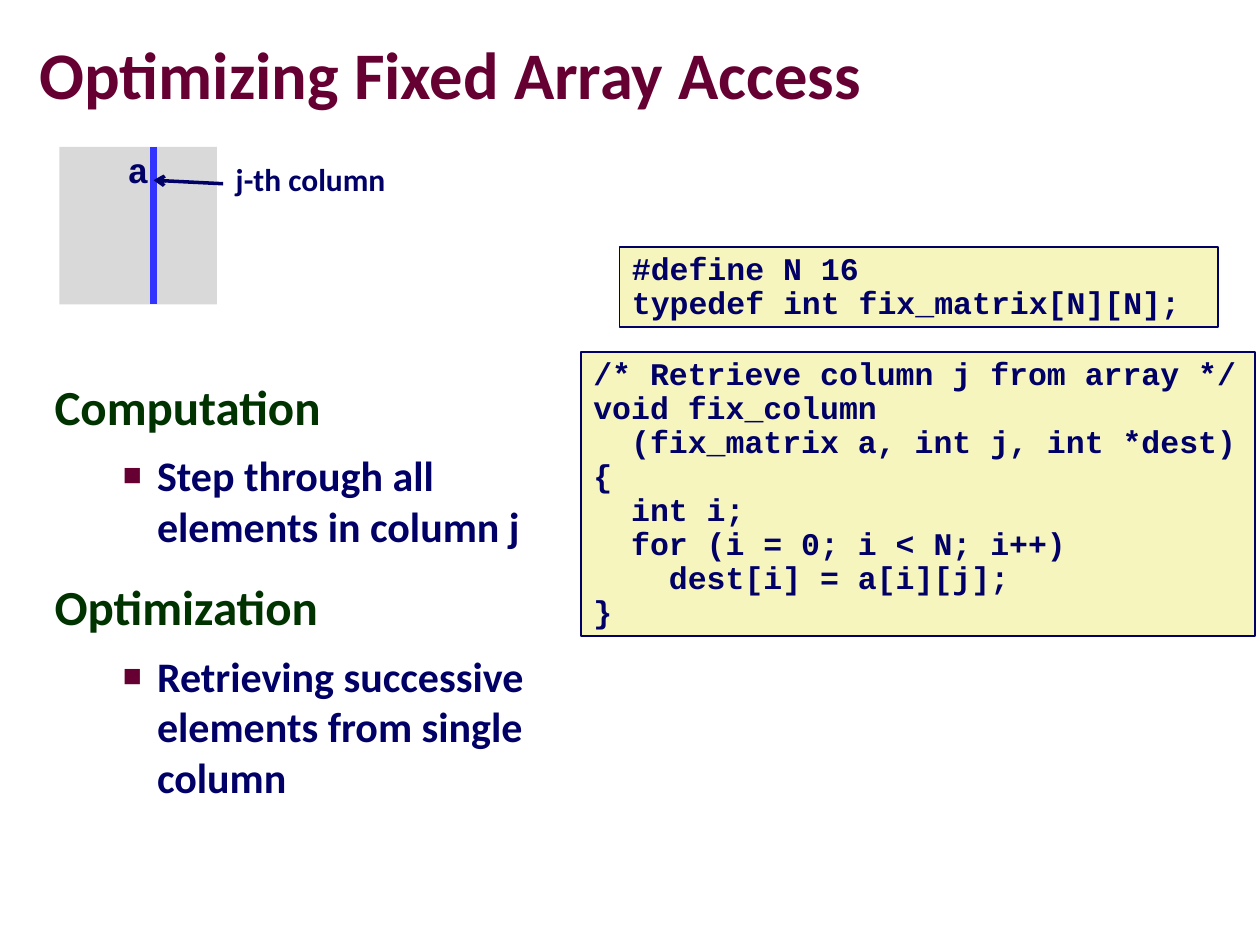
"""Build the slide on fixed array access with python-pptx."""
from lxml import etree
from pptx import Presentation
from pptx.dml.color import RGBColor
from pptx.enum import shapes, text
from pptx.oxml import ns
from pptx.util import Pt

NAVY, WINE, GREEN = "000066", "660033", "003300"
CREAM, GREY, BLUE = "F6F5BD", "D9D9D9", "3333FF"
SANS, MONO = "Calibri", "Courier New"
LEFT, MID = text.PP_ALIGN.LEFT, text.PP_ALIGN.CENTER
TOP, HALF = text.MSO_ANCHOR.TOP, text.MSO_ANCHOR.MIDDLE


def tint(code):
    return RGBColor.from_string(code)


def node(root, tag, **attrs):
    return etree.SubElement(root, ns.qn(tag), attrs)


class Deck:
    """Holds the style and the current slide."""

    def __init__(self, wide, high):
        self.prs = Presentation()
        self.prs.slide_width, self.prs.slide_height = Pt(wide), Pt(high)
        self.slide = self.prs.slides.add_slide(self.prs.slide_layouts[1])

    def place(self, shape, box):
        shape.left, shape.top, shape.width, shape.height = map(Pt, box)

    def frame(self, shape, pad=(7.2, 3.6), anchor=TOP, wrap=True):
        frame = shape.text_frame
        frame.margin_left = frame.margin_right = Pt(pad[0])
        frame.margin_top = frame.margin_bottom = Pt(pad[1])
        frame.auto_size = text.MSO_AUTO_SIZE.NONE
        frame.vertical_anchor, frame.word_wrap = anchor, wrap
        return frame

    def style(self, para, size, color, face=SANS, align=LEFT, space=0.9, before=0):
        para.alignment, para.line_spacing = align, space
        para.space_before = Pt(before)
        for run in para.runs:
            font = run.font
            font.size, font.name, font.bold = Pt(size), face, True
            font.color.rgb = tint(color)

    def title(self, words, box):
        shape = self.slide.shapes.title
        self.place(shape, box)
        frame = self.frame(shape, (0, 0), HALF)
        frame.text = words
        para = frame.paragraphs[0]
        self.style(para, 38, WINE, space=0.87)
        props = para.runs[0].font._element
        glow = etree.Element(ns.qn("a:effectLst"))
        cast = node(glow, "a:outerShdw", dist="38100", dir="2700000", algn="tl")
        node(cast, "a:srgbClr", val="969696")
        props.find(ns.qn("a:solidFill")).addnext(glow)

    def indent(self, para, left, hang, mark=None):
        props = para._p.get_or_add_pPr()
        props.set("marL", str(Pt(left)))
        props.set("indent", str(Pt(-hang)))
        if mark is None:
            node(props, "a:buNone")
            return
        node(node(props, "a:buClr"), "a:srgbClr", val=WINE)
        node(props, "a:buSzPct", val="75000")
        node(props, "a:buChar", char=mark)

    def body(self, items, box):
        shape = self.slide.placeholders[1]
        self.place(shape, box)
        frame = self.frame(shape)
        frame.text = "\n".join(words for _, words in items)
        for spot, (para, (level, _)) in enumerate(zip(frame.paragraphs, items)):
            para.level = level
            if level:
                self.indent(para, 58.5, 19.5, "■")
                self.style(para, 24, NAVY, space=1.0, before=7.5)
            else:
                self.indent(para, 30, 30)
                self.style(para, 28, GREEN, space=0.95, before=17.5 if spot else 0)

    def panel(self, words, box, fill, edge=None, size=18, align=LEFT):
        shape = self.slide.shapes.add_shape(shapes.MSO_SHAPE.RECTANGLE, *map(Pt, box))
        shape.shadow.inherit = False
        shape.fill.solid()
        shape.fill.fore_color.rgb = tint(fill)
        if edge:
            shape.line.color.rgb, shape.line.width = tint(edge), Pt(1)
        else:
            shape.line.fill.background()
        frame = self.frame(shape)
        frame.text = words
        for para in frame.paragraphs:
            self.style(para, size, NAVY, MONO, align)

    def label(self, words, box):
        shape = self.slide.shapes.add_textbox(*map(Pt, box))
        frame = self.frame(shape, wrap=False)
        frame.text = words
        self.style(frame.paragraphs[0], 18, NAVY, align=MID)

    def line(self, ends, color, width, arrow=False):
        kind = shapes.MSO_CONNECTOR.STRAIGHT
        wire = self.slide.shapes.add_connector(kind, *map(Pt, ends))
        wire.line.color.rgb, wire.line.width = tint(color), Pt(width)
        if arrow:
            node(wire.line._get_or_add_ln(), "a:tailEnd", type="arrow")
        node(wire._element.spPr, "a:effectLst")


def main():
    deck = Deck(720, 540)
    deck.title("Optimizing Fixed Array Access", (22.5, 22.5, 500, 45))
    deck.body([
        (0, "Computation"),
        (1, "Step through all elements in column j"),
        (0, "Optimization"),
        (1, "Retrieving successive elements from single column"),
    ], (24, 214, 308, 308))
    deck.panel("#define N 16\ntypedef int fix_matrix[N][N];",
               (354, 141, 342, 46), CREAM, NAVY)
    deck.panel("""/* Retrieve column j from array */
void fix_column
  (fix_matrix a, int j, int *dest)
{
  int i;
  for (i = 0; i < N; i++)
    dest[i] = a[i][j];
}""", (332, 201, 385, 162.5), CREAM, NAVY)
    left, top, side, col = 34, 84, 90, 87.75
    deck.panel("a", (left, top, side, side), GREY, size=20, align=MID)
    deck.line((col, top, col, top + side), BLUE, 4.5)
    deck.label("j-th column", (127.5, 90.5, 100, 27))
    deck.line((127.5, 105, col, 103), NAVY, 2, arrow=True)
    deck.prs.save("out.pptx")


if __name__ == "__main__":
    main()
